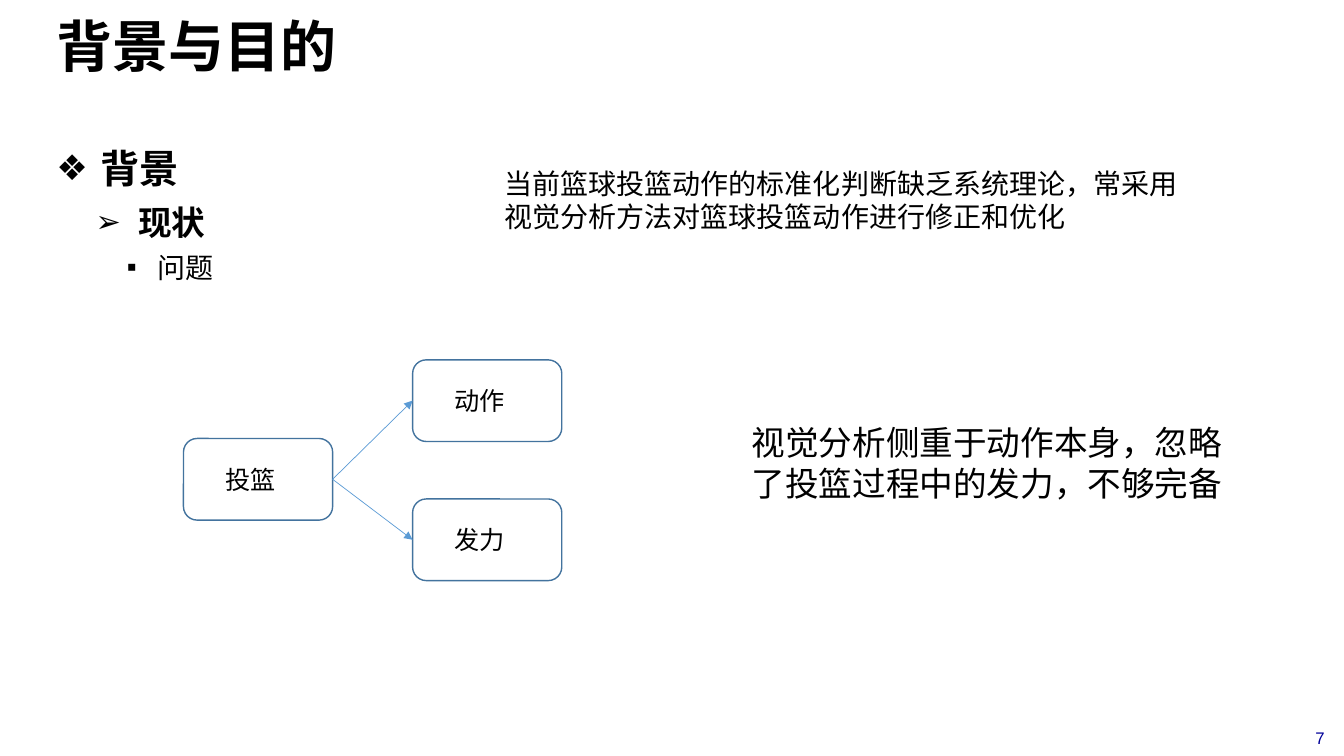
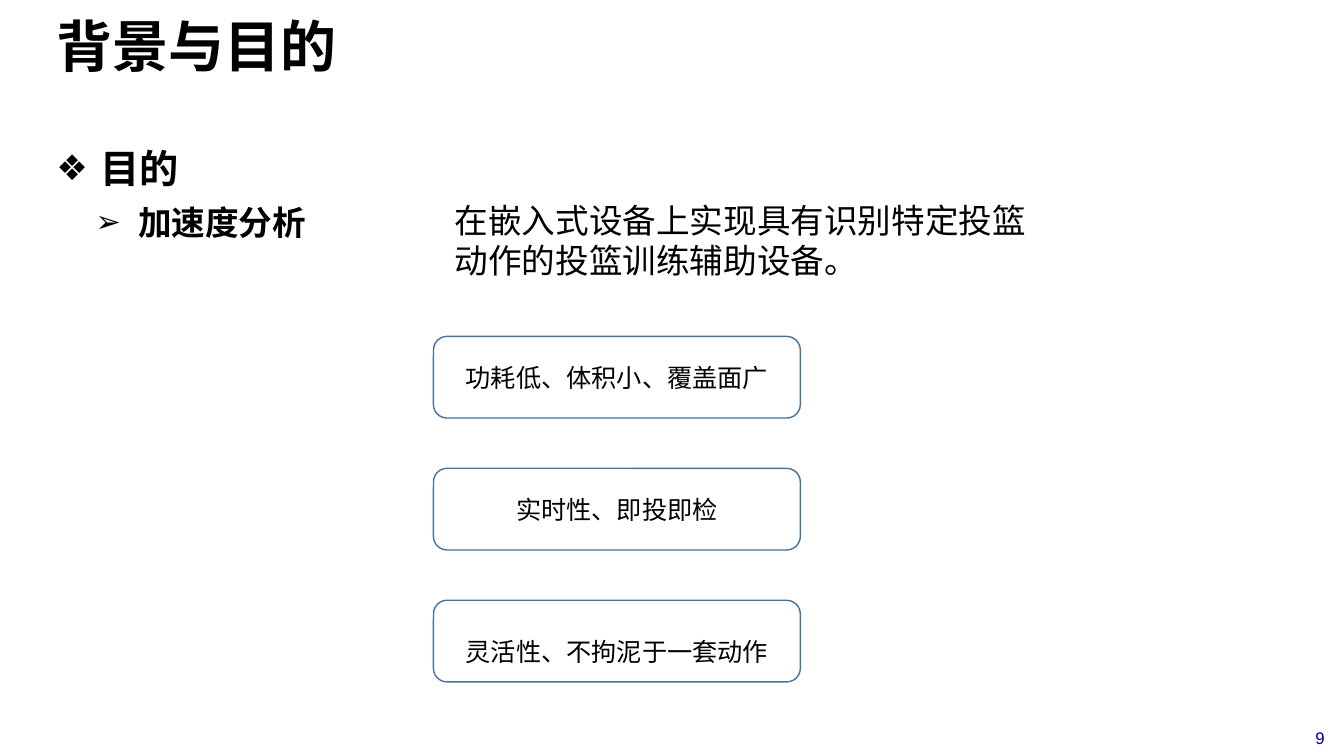
from lxml.etree import SubElement
from pptx import Presentation
from pptx.dml.color import RGBColor
from pptx.enum.shapes import MSO_CONNECTOR, MSO_SHAPE
from pptx.enum.text import MSO_ANCHOR, MSO_AUTO_SIZE, PP_ALIGN
from pptx.oxml.ns import qn
from pptx.util import Emu, Inches, Pt

SLIDE_WIDTH = Inches(13.333)
SLIDE_HEIGHT = Inches(7.5)
COLOURS = {
    "text": "000000",
    "number": "000099",
    "box": "FFFFFF",
    "outline": "43739E",
    "arrow": "5B9BD5",
}
HEADING_FONT = "Arial"
NOTE_FONT = "Calibri"
TITLE = "背景与目的"
TITLE_AREA = (3.45, 1.73, 93.3, 9.47)
BODY_AREA = (3.45, 15.33, 93.3, 79.73)
NUMBER_AREA = (96.45, 95.6, 3.53, 4)
BOX_HEIGHT = 10.8
OUTLINE_LEVELS = [
    {"bullet": "❖", "scale": 90, "margin": 0.44, "hang": 0.44,
     "size": 28, "bold": True, "spacing": 1.5},
    {"bullet": "➢", "scale": 90, "margin": 0.81, "hang": 0.42,
     "size": 24, "bold": True, "spacing": 1.25},
    {"bullet": "▪", "scale": 100, "margin": 1, "hang": 0.3,
     "size": 20, "bold": False, "spacing": 1.25},
]


def colour(role):
    return RGBColor.from_string(COLOURS[role])


def area(left, top, width, height):
    return (
        Emu(round(SLIDE_WIDTH * left / 100)),
        Emu(round(SLIDE_HEIGHT * top / 100)),
        Emu(round(SLIDE_WIDTH * width / 100)),
        Emu(round(SLIDE_HEIGHT * height / 100)),
    )


def move(placeholder, shares):
    (placeholder.left, placeholder.top,
     placeholder.width, placeholder.height) = area(*shares)


def format_runs(paragraph, font, size, role="text", bold=False):
    for run in paragraph.runs:
        run.font.name = font
        run.font.size = Pt(size)
        run.font.bold = bold
        run.font.color.rgb = colour(role)


def set_bullet(paragraph, style):
    properties = paragraph._p.get_or_add_pPr()
    properties.set("marL", str(Inches(style["margin"])))
    properties.set("indent", str(-Inches(style["hang"])))
    SubElement(properties, qn("a:buSzPct"), val=str(style["scale"] * 1000))
    SubElement(properties, qn("a:buFont"), typeface=HEADING_FONT)
    SubElement(properties, qn("a:buChar"), char=style["bullet"])


def fill_title(title):
    move(title, TITLE_AREA)
    frame = title.text_frame
    frame.text = TITLE
    frame.auto_size = MSO_AUTO_SIZE.NONE
    frame.vertical_anchor = MSO_ANCHOR.MIDDLE
    heading = frame.paragraphs[0]
    heading.alignment = PP_ALIGN.LEFT
    heading.line_spacing = 0.9
    format_runs(heading, HEADING_FONT, 40, bold=True)


def fill_outline(body, topics):
    move(body, BODY_AREA)
    frame = body.text_frame
    frame.text = "\n".join(topics)
    frame.auto_size = MSO_AUTO_SIZE.NONE
    for level, (topic, style) in enumerate(zip(frame.paragraphs, OUTLINE_LEVELS)):
        topic.level = level
        set_bullet(topic, style)
        topic.line_spacing = style["spacing"]
        topic.space_before = Pt(0)
        format_runs(topic, HEADING_FONT, style["size"], bold=style["bold"])


def add_text(slide, shares, text, size, font=NOTE_FONT, role="text",
             alignment=PP_ALIGN.LEFT):
    frame = slide.shapes.add_textbox(*area(*shares)).text_frame
    frame.word_wrap = True
    frame.text = text
    for paragraph in frame.paragraphs:
        paragraph.alignment = alignment
        format_runs(paragraph, font, size, role)


def add_page(deck, number, topics):
    slide = deck.slides.add_slide(deck.slide_layouts[1])
    fill_title(slide.shapes.title)
    fill_outline(slide.placeholders[1], topics)
    add_text(slide, NUMBER_AREA, str(number), 12, HEADING_FONT, "number",
             PP_ALIGN.CENTER)
    return slide


def add_box(slide, left, top, width, label, right_inset=0.1, top_inset=0.05):
    box = slide.shapes.add_shape(
        MSO_SHAPE.ROUNDED_RECTANGLE, *area(left, top, width, BOX_HEIGHT))
    box.shadow.inherit = False
    box.fill.solid()
    box.fill.fore_color.rgb = colour("box")
    box.line.color.rgb = colour("outline")
    box.line.width = Pt(1)
    frame = box.text_frame
    frame.text = label
    frame.word_wrap = True
    frame.vertical_anchor = MSO_ANCHOR.MIDDLE
    frame.margin_right = Inches(right_inset)
    frame.margin_top = Inches(top_inset)
    frame.paragraphs[0].alignment = PP_ALIGN.CENTER
    format_runs(frame.paragraphs[0], NOTE_FONT, 18)
    return box


def add_arrow(slide, source, target):
    arrow = slide.shapes.add_connector(MSO_CONNECTOR.STRAIGHT, 0, 0, 0, 0)
    arrow.begin_connect(source, 3)
    arrow.end_connect(target, 1)
    arrow.line.color.rgb = colour("arrow")
    arrow.line.width = Pt(0.5)
    SubElement(arrow.line._get_or_add_ln(), qn("a:tailEnd"), type="triangle")
    SubElement(arrow._element.spPr, qn("a:effectLst"))


def build_background(deck):
    slide = add_page(deck, 7, ["背景", "现状", "问题"])
    add_text(slide, (36.8, 21.33, 59.9, 10.27),
             "当前篮球投篮动作的标准化判断缺乏系统理论，常采用\n"
             "视觉分析方法对篮球投篮动作进行修正和优化", 20)
    width, right_inset = 11.1, 0.25
    shot = add_box(slide, 13.65, 58, width, "投篮", right_inset)
    for top, aspect in ((47.6, "动作"), (66, "发力")):
        add_arrow(slide, shot,
                  add_box(slide, 30.7, top, width, aspect, right_inset))
    add_text(slide, (55.2, 55.2, 38.05, 12.13),
             "视觉分析侧重于动作本身，忽略了投篮过程中的发力，不够完备", 24)


def build_purpose(deck):
    slide = add_page(deck, 9, ["目的", "加速度分析"])
    add_text(slide, (33.1, 25.73, 45.45, 12.13),
             "在嵌入式设备上实现具有识别特定投篮动作的投篮训练辅助设备。", 24)
    goals = (
        ("功耗低、体积小、覆盖面广", 0.05),
        ("实时性、即投即检", 0.05),
        ("灵活性、不拘泥于一套动作", 0.25),
    )
    for row, (goal, top_inset) in enumerate(goals):
        add_box(slide, 32.25, 44.5 + 17.45 * row, 27.3, goal,
                top_inset=top_inset)


def main():
    deck = Presentation()
    deck.slide_width = SLIDE_WIDTH
    deck.slide_height = SLIDE_HEIGHT
    build_background(deck)
    build_purpose(deck)
    deck.save("out.pptx")


if __name__ == "__main__":
    main()
